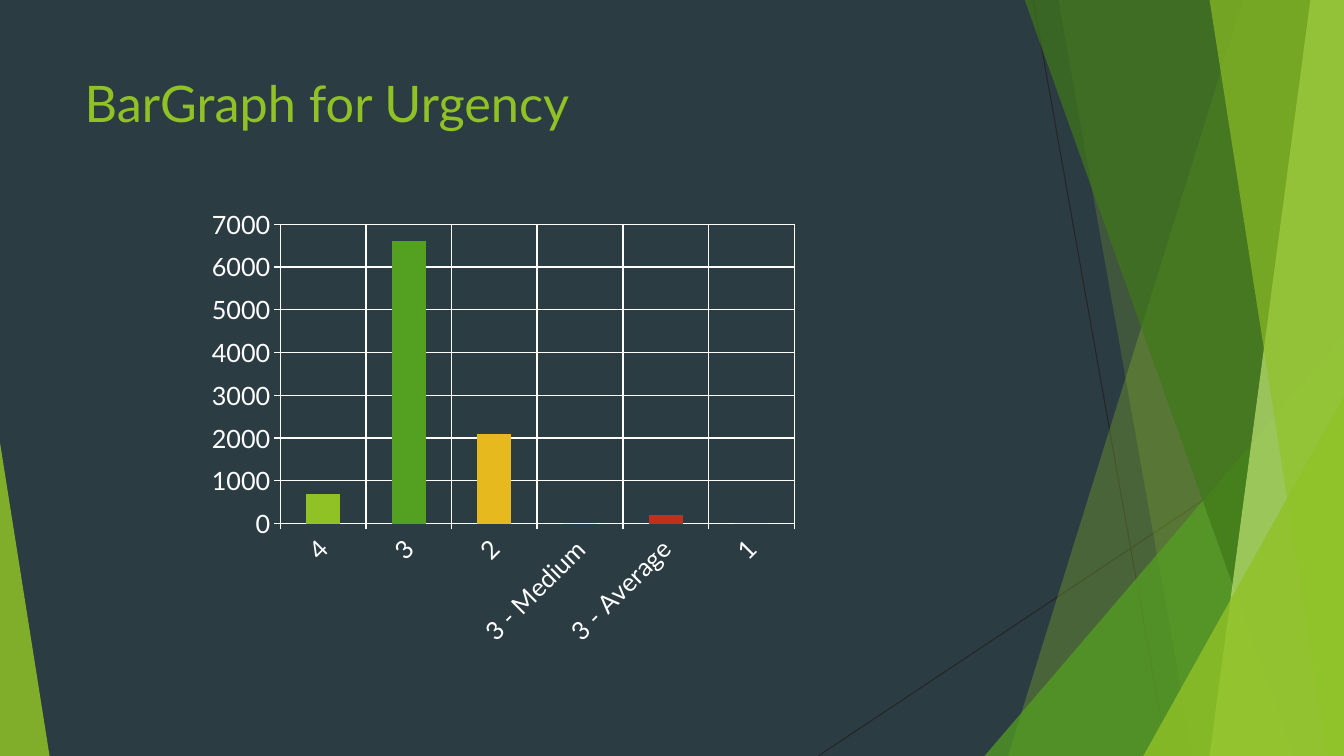
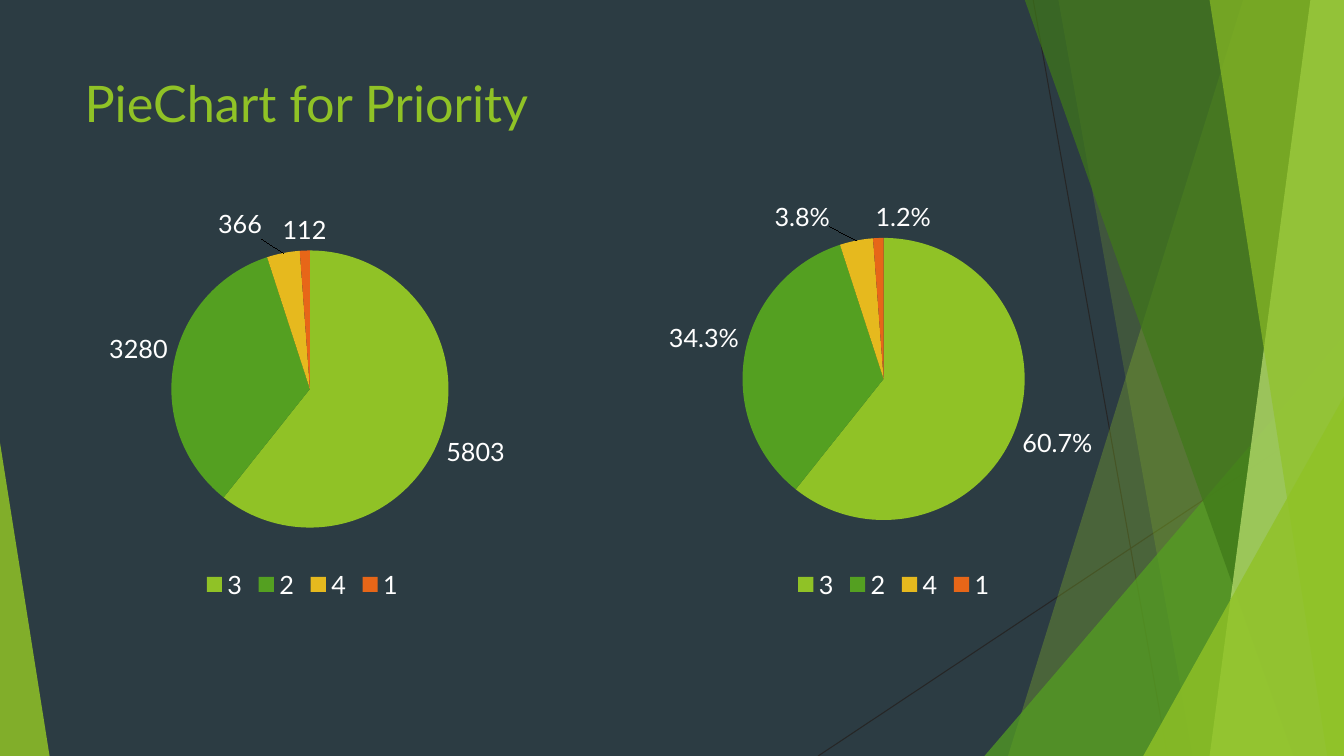
from lxml.etree import SubElement
from pptx import Presentation
from pptx.chart.data import CategoryChartData
from pptx.dml.color import RGBColor
from pptx.enum.chart import XL_CHART_TYPE as ChartType
from pptx.enum.chart import XL_LABEL_POSITION as LabelPosition
from pptx.enum.chart import XL_LEGEND_POSITION as LegendPosition
from pptx.enum.chart import XL_TICK_MARK as TickMark
from pptx.enum.shapes import MSO_CONNECTOR as Connector
from pptx.enum.shapes import MSO_SHAPE as Shape
from pptx.oxml.ns import qn
from pptx.util import Inches, Pt

# The slide is a grid of 80 columns and 45 rows of square cells
COLUMNS, ROWS = 80, 45
CELL = Inches(7.5) // ROWS

COLORS = {
    "background": "2C3C43", "lime": "90C226", "green": "54A021",
    "forest": "3F7819", "pale": "C0E474", "yellow": "E6B91E",
    "orange": "E76618", "red": "C42F1A", "olive": "918655",
    "white": "FFFFFF", "hairline": "262626",
}
RGB = {name: RGBColor.from_string(value) for name, value in COLORS.items()}
POINT_COLORS = ["lime", "green", "yellow", "orange", "red", "olive"]
TITLE_FONT = {"name": "Lato", "size": Pt(36), "bold": False}
CHART_FONT = {"name": "Lato", "size": Pt(18), "bold": False}


def style_font(font, values, color):
    for attribute, value in values.items():
        setattr(font, attribute, value)
    font.color.rgb = RGB[color]


def add_layout(parent, index, **values):
    """Give a plot area or a data label a manual layout."""
    for old in parent.findall(qn("c:layout")):
        parent.remove(old)
    layout = SubElement(parent, qn("c:layout"))
    parent.insert(index, layout)
    manual = SubElement(layout, qn("c:manualLayout"))
    for tag, value in values.items():
        SubElement(manual, qn(f"c:{tag}")).set("val", str(value))


presentation = Presentation()
presentation.slide_width, presentation.slide_height = COLUMNS * CELL, ROWS * CELL
blank = presentation.slide_layouts[6]
for placeholder in list(blank.placeholders):
    placeholder.element.getparent().remove(placeholder.element)
background = presentation.slide_master.background.fill
background.solid()
background.fore_color.rgb = RGB["background"]

# Slide content: chart boxes in cells, plot areas as shares of the chart,
# label shifts as shares of the chart by point index
PRIORITIES = ["3", "2", "4", "1"]
SLIDES = [
    ("BarGraph for Urgency", [
        {"type": ChartType.COLUMN_CLUSTERED, "box": (12, 12, 36, 27),
         "categories": ["4", "3", "2", "3 - Medium", "3 - Average", "1"],
         "values": [700, 6600, 2100, 0, 200, 0], "format": "General",
         "plot": (0.13, 0.05, 0.85, 0.66)},
    ]),
    ("PieChart for Priority", [
        {"type": ChartType.PIE, "box": (3, 12, 30, 24),
         "categories": PRIORITIES, "values": [5803, 3280, 366, 112],
         "format": "General", "plot": (0.24, 0.12, 0.55, 0.69),
         "shifts": {2: (-0.04, -0.02)}},
        {"type": ChartType.PIE, "box": (38.2, 12, 30, 24),
         "categories": PRIORITIES, "values": [0.607, 0.343, 0.038, 0.012],
         "format": "0.0%", "plot": (0.2, 0.09, 0.56, 0.7),
         "shifts": {2: (-0.05, -0.02), 3: (0.05, 0)}},
    ]),
]
slides = [presentation.slides.add_slide(blank) for _ in SLIDES]

# Shared decoration: hairlines, slanted bands and corner triangles
decoration = slides[0].shapes.add_group_shape()
for ends in [(61.5, 0, 69.5, ROWS), (COLUMNS, 24.2, 48.7, ROWS)]:
    line = decoration.shapes.add_connector(
        Connector.STRAIGHT, *[round(end * CELL) for end in ends])
    line.line.color.rgb = RGB["hairline"]
    line.line.width = Pt(0.75)
    SubElement(line._element.spPr, qn("a:effectLst"))

# Bands: left edge at top and bottom; triangles: left, top, width, apex
PIECES = [
    ("band", (73.7, 60.2), "lime", 30),
    ("band", (63, 71), "lime", 20),
    ("triangle", (58.6, 20, 21.4, 1), "green", 72),
    ("band", (61.25, 77.45), "forest", 70),
    ("band", (78.2, 71.5), "pale", 70),
    ("band", (71.75, 79.1), "lime", 65),
    ("triangle", (68.05, 23.6, 11.95, 1), "lime", 80),
    ("triangle", (0, 26.35, 2.95, 0), "lime", 85),
]
for kind, numbers, color, opacity in PIECES:
    if kind == "band":
        top_edge, bottom_edge = numbers
        outline = decoration.shapes.build_freeform(top_edge, 0, scale=CELL)
        outline.add_line_segments(
            [(COLUMNS, 0), (COLUMNS, ROWS), (bottom_edge, ROWS)], close=True)
        shape = outline.convert_to_shape()
    else:
        left, top, width, apex = numbers
        shape = decoration.shapes.add_shape(
            Shape.ISOSCELES_TRIANGLE,
            *[round(cells * CELL) for cells in (left, top, width, ROWS - top)])
        shape.adjustments[0] = apex
    shape.shadow.inherit = False
    shape.line.fill.background()
    shape.fill.solid()
    shape.fill.fore_color.rgb = RGB[color]
    fill_color = shape._element.spPr.find(".//" + qn("a:srgbClr"))
    SubElement(fill_color, qn("a:alpha")).set("val", str(opacity * 1000))

# The layout carries the decoration for every slide
blank.shapes._spTree.append(decoration._element)

for slide, (title, charts) in zip(slides, SLIDES):
    # Title
    title_box = slide.shapes.add_textbox(
        *[round(cells * CELL) for cells in (4.45, 4, 56.4, 8.65)])
    title_box.text_frame.word_wrap = True
    paragraph = title_box.text_frame.paragraphs[0]
    paragraph.text = title
    style_font(paragraph.runs[0].font, TITLE_FONT, "lime")

    for content in charts:
        # Chart and its data
        data = CategoryChartData(number_format=content["format"])
        data.categories = content["categories"]
        data.add_series("Series 1", content["values"])
        chart = slide.shapes.add_chart(
            content["type"], *[round(cells * CELL) for cells in content["box"]],
            data).chart
        chart.has_title = False
        style_font(chart.font, CHART_FONT, "white")
        x, y, w, h = content["plot"]
        plot_area = chart._chartSpace.chart.plotArea
        add_layout(plot_area, 0, layoutTarget="inner", xMode="edge",
                   yMode="edge", x=x, y=y, w=w, h=h)

        # Point colours
        plot = chart.plots[0]
        plot.vary_by_categories = True
        series = plot.series[0]
        for index, color in zip(range(len(content["values"])), POINT_COLORS):
            fill = series.points[index].format.fill
            fill.solid()
            fill.fore_color.rgb = RGB[color]

        if content["type"] == ChartType.PIE:
            # Legend and value labels
            chart.has_legend = True
            chart.legend.position = LegendPosition.BOTTOM
            chart.legend.include_in_layout = False
            style_font(chart.legend.font, CHART_FONT, "white")
            labels = series.data_labels
            label_format = {
                "show_value": True, "position": LabelPosition.OUTSIDE_END,
                "number_format": content["format"],
                "number_format_is_linked": False,
            }
            for attribute, value in label_format.items():
                setattr(labels, attribute, value)
            style_font(labels.font, CHART_FONT, "white")
            for index, (x, y) in content["shifts"].items():
                label = series.points[index].data_label
                label.position = LabelPosition.OUTSIDE_END
                style_font(label.font, CHART_FONT, "white")
                add_layout(label._get_or_add_dLbl(), 1, x=x, y=y)
        else:
            # Axes and grid
            chart.has_legend = False
            plot.gap_width = 150
            axis_format = {
                "has_major_gridlines": True,
                "major_tick_mark": TickMark.OUTSIDE,
                "minor_tick_mark": TickMark.NONE,
            }
            for axis in (chart.category_axis, chart.value_axis):
                for attribute, value in axis_format.items():
                    setattr(axis, attribute, value)
                style_font(axis.tick_labels.font, CHART_FONT, "white")
                for line in (axis.format.line, axis.major_gridlines.format.line):
                    line.color.rgb = RGB["white"]
                    line.width = Pt(1)
            scale = {"minimum_scale": 0, "maximum_scale": 7000, "major_unit": 1000}
            for attribute, value in scale.items():
                setattr(chart.value_axis, attribute, value)
            category_text = chart.category_axis._element.find(qn("c:txPr"))
            category_text.find(qn("a:bodyPr")).set("rot", str(-45 * 60000))

presentation.save("out.pptx")
